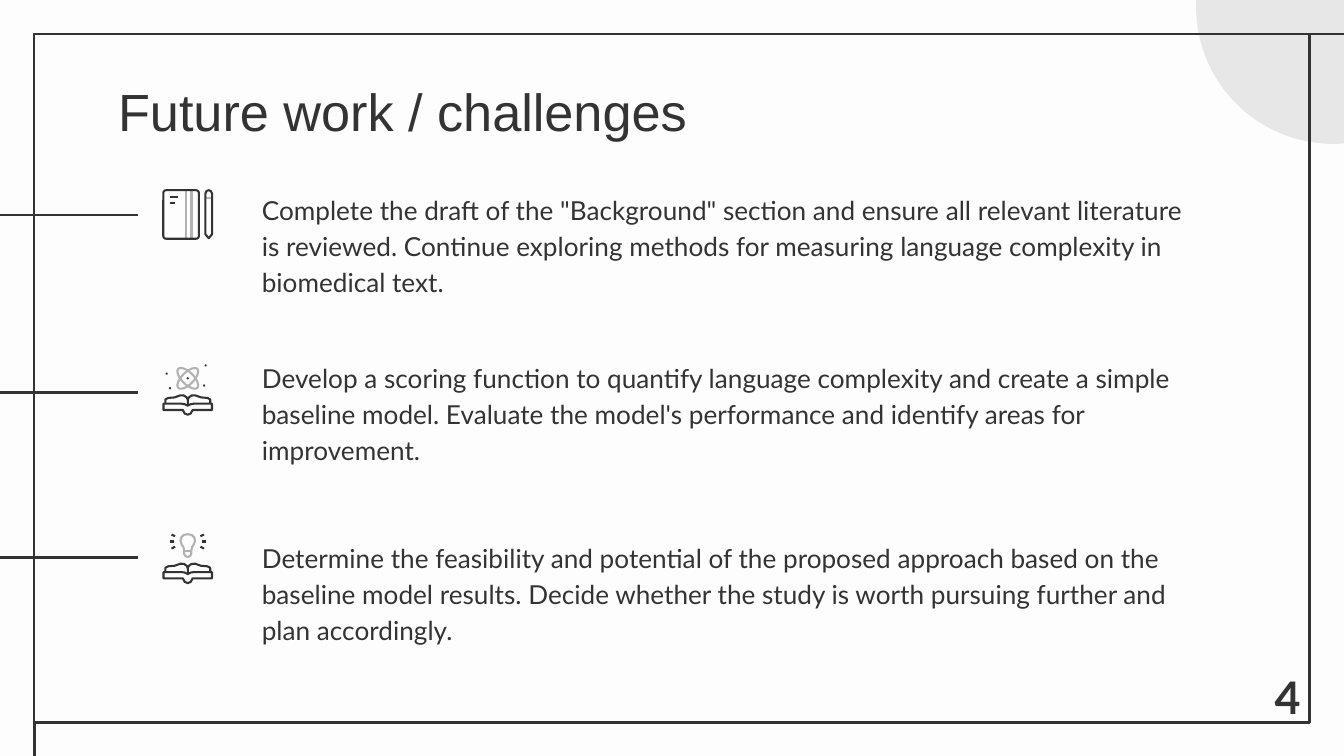
import dataclasses

import pptx
import pptx.dml.color
import pptx.enum.shapes
import pptx.enum.text
import pptx.oxml.ns
import pptx.util
from lxml import etree

Pt = pptx.util.Pt
SHAPE = pptx.enum.shapes.MSO_SHAPE
ALIGN = pptx.enum.text.PP_ALIGN


@dataclasses.dataclass(frozen=True)
class Theme:
    background: str = "FDFDFD"
    ink: str = "333333"
    accent: str = "B2B2B2"
    circle: str = "E8E7E7"
    title_font: str = "Arial"
    body_font: str = "Lato"
    title_size: float = 28
    body_size: float = 14
    number_size: float = 24
    rule: float = 1.5
    stroke: float = 1.1


THEME = Theme()
ICON_CENTER = 100.6

# Each goal: rule height, top of its text box, wording
GOALS = [
    (115.2, 94.3, 'Complete the draft of the "Background" section and ensure all '
     "relevant literature is reviewed. Continue exploring methods for measuring "
     "language complexity in biomedical text."),
    (210.2, 184.3, "Develop a scoring function to quantify language complexity and "
     "create a simple baseline model. Evaluate the model's performance and identify "
     "areas for improvement."),
    (298.8, 280.8, "Determine the feasibility and potential of the proposed approach "
     "based on the baseline model results. Decide whether the study is worth pursuing "
     "further and plan accordingly."),
]

# Left halves of symmetrical outlines, relative to the icon's centre and top
PAGES = [(0, 6), (0, 3.2), (-0.5, 2), (-2, 0.9), (-4, 0.8), (-7, 1.9),
         (-10.5, 2.2), (-12, 3), (-12, 5.3)]
COVER = [(0, 6.4), (-1.5, 5.6), (-3.2, 5.3), (-13, 5.3), (-13, 8.7),
         (-2.6, 8.7), (-1.6, 10.6), (0, 11.2)]
BULB = [(0, 0.6), (-2.2, 1), (-3.5, 2.3), (-3.9, 4.2), (-3.3, 6), (-2.3, 7.6),
        (-1.9, 9.5), (-1.9, 11.2), (-1.2, 12.4), (0, 12.8)]


def rgb(color):
    return pptx.dml.color.RGBColor.from_string(color)


def paint(shape, fill=None, line=None, weight=THEME.stroke):
    shape.shadow.inherit = False
    if fill:
        shape.fill.solid()
        shape.fill.fore_color.rgb = rgb(fill)
    else:
        shape.fill.background()
    if line:
        shape.line.color.rgb = rgb(line)
        shape.line.width = Pt(weight)
    else:
        shape.line.fill.background()


def add_preset(page, kind, left, top, width, height, rotation=0, **style):
    shape = page.shapes.add_shape(kind, Pt(left), Pt(top), Pt(width), Pt(height))
    shape.rotation = rotation
    paint(shape, **style)
    return shape


def add_line(page, x1, y1, x2, y2, color=THEME.ink, weight=THEME.rule):
    line = page.shapes.add_connector(
        pptx.enum.shapes.MSO_CONNECTOR.STRAIGHT, Pt(x1), Pt(y1), Pt(x2), Pt(y2))
    line.line.color.rgb = rgb(color)
    line.line.width = Pt(weight)
    etree.SubElement(line._element.spPr, pptx.oxml.ns.qn("a:effectLst"))


def add_outline(page, points, color=THEME.ink, closed=True):
    corners = [(Pt(x), Pt(y)) for x, y in points]
    builder = page.shapes.build_freeform(*corners[0], scale=1.0)
    builder.add_line_segments(corners[1:], close=closed)
    paint(builder.convert_to_shape(), line=color)


def add_mirrored(page, half, top, color=THEME.ink, closed=True):
    # Runs down the left half and back up the right one
    if closed:
        whole = half + [(-x, y) for x, y in half[-2:0:-1]]
    else:
        whole = half[::-1] + [(-x, y) for x, y in half[1:]]
    add_outline(page, [(ICON_CENTER + x, top + y) for x, y in whole], color, closed)


def add_text(page, text, left, top, width, height, font=THEME.body_font,
             size=THEME.body_size, bold=False, align=ALIGN.LEFT, spacing=1.0):
    box = page.shapes.add_textbox(Pt(left), Pt(top), Pt(width), Pt(height))
    frame = box.text_frame
    frame.word_wrap = True
    frame.margin_left = frame.margin_right = Pt(7.2)
    frame.margin_top = frame.margin_bottom = Pt(7.2)
    para = frame.paragraphs[0]
    para.alignment = align
    para.line_spacing = spacing
    span = para.add_run()
    span.text = text
    span.font.name = font
    span.font.size = Pt(size)
    span.font.bold = bold
    span.font.color.rgb = rgb(THEME.ink)


def add_notebook_icon(page):
    for x in (99.9, 102.6):
        add_line(page, x, 102.2, x, 128, THEME.accent, THEME.stroke)
    cover = add_preset(page, SHAPE.ROUNDED_RECTANGLE, 87.5, 101.9, 19.1, 26,
                       line=THEME.ink)
    cover.adjustments[0] = 0.08
    for y, end in ((105.4, 95.5), (108.8, 93.8)):
        add_line(page, 91, y, end, y, weight=THEME.stroke)
    # Pencil
    add_line(page, 110, 106.2, 113.6, 106.2, THEME.accent, THEME.stroke)
    add_outline(page, [(110, 103.7), (110.7, 102.3), (111.8, 101.9), (112.9, 102.3),
                       (113.6, 103.7), (113.6, 125.5), (111.8, 127.6), (110, 125.5)])


def add_book(page, top):
    add_mirrored(page, PAGES, top, closed=False)
    add_mirrored(page, COVER, top)


def add_atom_icon(page):
    add_book(page, 211)
    for angle in (45, 135):
        add_preset(page, SHAPE.OVAL, ICON_CENTER - 7.2, 199.5, 14.4, 6.4,
                   rotation=angle, line=THEME.accent)
    for x, y in ((0, 202.7), (9.6, 195.8), (-9.5, 208), (-11.3, 200.2), (8.8, 206.6)):
        add_preset(page, SHAPE.OVAL, ICON_CENTER + x - 0.6, y - 0.6, 1.2, 1.2,
                   fill=THEME.ink)


def add_idea_icon(page):
    top = 285.6
    add_book(page, 301.2)
    add_mirrored(page, BULB, top, THEME.accent)
    add_line(page, ICON_CENTER - 1.9, top + 9.7, ICON_CENTER + 1.9, top + 9.7,
             THEME.accent, THEME.stroke)
    # Rays on both sides
    for side in (-1, 1):
        for near, y1, far, y2 in ((6.8, 1.7, 8.7, 0.8), (7.5, 4.5, 9.6, 4.5),
                                  (6.8, 7.3, 8.7, 8.3)):
            add_line(page, ICON_CENTER + side * near, top + y1,
                     ICON_CENTER + side * far, top + y2, weight=THEME.stroke)


def add_frame(page):
    add_preset(page, SHAPE.OVAL, 640.8, -69.8, 146.9, 146.9, fill=THEME.circle)
    add_preset(page, SHAPE.RECTANGLE, 18.2, 18.2, 683.3, 368.7,
               line=THEME.ink, weight=THEME.rule)
    add_line(page, 701.5, 18.2, 720, 18.2)
    add_line(page, 18.5, 386.9, 18.5, 405)


def main():
    deck = pptx.Presentation()
    deck.slide_width, deck.slide_height = Pt(720), Pt(405)
    page = deck.slides.add_slide(deck.slide_layouts[6])
    page.background.fill.solid()
    page.background.fill.fore_color.rgb = rgb(THEME.background)

    # Decoration and title
    add_frame(page)
    add_text(page, "Future work / challenges", 56.2, 35.3, 607, 45.4,
             font=THEME.title_font, size=THEME.title_size)

    # Goals with their rules
    for rule_y, text_top, wording in GOALS:
        add_line(page, 0, rule_y, 74, rule_y)
        add_text(page, wording, 133.2, text_top, 520.6, 49, spacing=1.15)

    # Icons
    add_notebook_icon(page)
    add_atom_icon(page)
    add_idea_icon(page)

    # Page number
    add_text(page, "4", 668.2, 351.4, 43.2, 36.7, size=THEME.number_size,
             bold=True, align=ALIGN.CENTER)
    deck.save("out.pptx")


if __name__ == "__main__":
    main()
